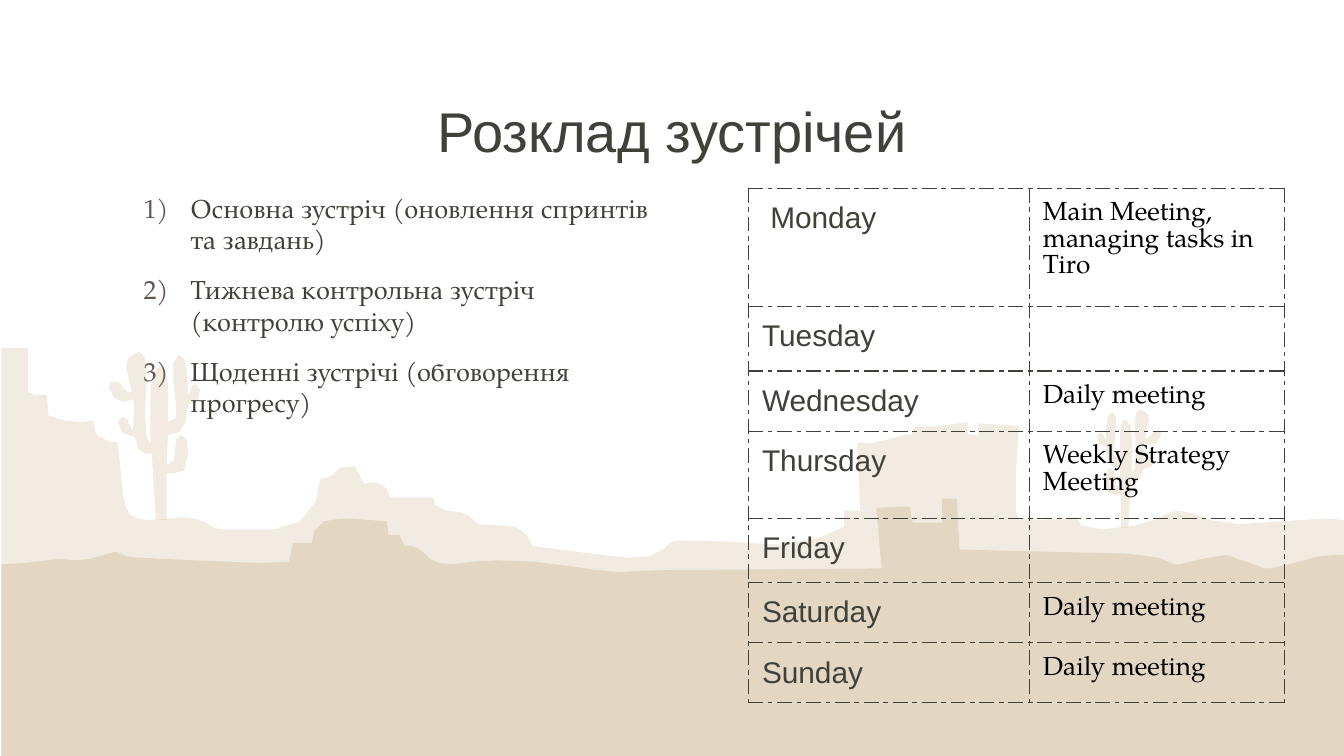
from lxml import etree
from pptx import Presentation
from pptx.dml.color import RGBColor
from pptx.enum.text import MSO_ANCHOR, PP_ALIGN
from pptx.oxml.ns import qn
from pptx.util import Inches, Pt

CENTER, LEFT = PP_ALIGN.CENTER, PP_ALIGN.LEFT
TOP = MSO_ANCHOR.TOP
INK = RGBColor(0x40, 0x41, 0x3A)
BLACK = RGBColor(0, 0, 0)
SAND = RGBColor(0xBE, 0x9D, 0x6D)
DUNE = RGBColor(0xCB, 0xB3, 0x8E)
NUMBER_COLOR = "635652"
SANS, SERIF = "Arial", "TeX Gyre Pagella"

# Content
TITLE = "Розклад зустрічей"
MEETINGS = [
    "Основна зустріч (оновлення спринтів та завдань)",
    "Тижнева контрольна зустріч (контролю успіху)",
    "Щоденні зустрічі (обговорення прогресу)",
]
SCHEDULE = [  # day, meeting, row height
    (" Monday", "Main Meeting, managing tasks in Tiro", 0.8),
    ("Tuesday", "", 0.42),
    ("Wednesday", "Daily meeting", 0.42),
    ("Thursday", "Weekly Strategy Meeting", 0.59),
    ("Friday", "", 0.42),
    ("Saturday", "Daily meeting", 0.42),
    ("Sunday", "Daily meeting", 0.42),
]
COLUMN_WIDTHS = [2.09, 1.9]

# Desert outlines, in inches
FAR_HILLS = [
    (0.01, 2.59), (0.01, 7.57), (10, 7.57), (10, 3.87), (9.9, 3.86), (9.83, 3.86),
    (9.37, 3.89), (9.22, 3.9), (9, 3.87), (8.88, 3.82), (8.77, 3.8), (8.71, 3.81),
    (8.61, 3.86), (8.45, 3.91), (8.2, 3.94), (8.05, 3.91), (8, 3.85), (7.73, 3.87),
    (7.57, 3.85), (7.56, 3.81), (7.56, 3.5), (7.58, 3.17), (7.28, 3.15), (7.28, 3.24),
    (7.2, 3.23), (7.2, 3.14), (7, 3.17), (6.8, 3.18), (6.78, 3.24), (6.75, 3.23),
    (6.65, 3.26), (6.47, 3.3), (6.38, 3.29), (6.4, 3.8), (6.28, 3.8), (6.28, 3.92),
    (6.1, 4), (5.84, 4.05), (5.73, 4.05), (5.4, 4.03), (5.09, 4.02), (5, 4.03),
    (4.93, 4.09), (4.83, 4.14), (4.67, 4.15), (4.33, 4.11), (4.02, 4.07), (3.96, 4.06),
    (3.92, 3.98), (3.84, 3.92), (3.72, 3.91), (3.56, 3.9), (3.49, 3.84), (3.42, 3.81),
    (3.32, 3.8), (3.24, 3.76), (3.22, 3.7), (2.9, 3.7), (2.88, 3.64), (2.83, 3.6),
    (2.76, 3.59), (2.71, 3.6), (2.64, 3.47), (2.53, 3.48), (2.47, 3.54), (2.38, 3.57),
    (2.35, 3.73), (2.23, 3.88), (2.04, 3.94), (1.66, 3.94), (1.6, 3.93), (1.53, 3.89),
    (1.46, 3.86), (1.37, 3.85), (1.11, 3.87), (1.03, 3.86), (0.97, 3.83), (0.94, 3.78),
    (0.92, 3.71), (0.88, 3.33), (0.87, 3.29), (0.82, 3.29), (0.72, 3.24), (0.69, 3.13),
    (0.6, 3.14), (0.48, 3.13), (0.36, 3.09), (0.35, 2.94), (0.27, 2.94), (0.21, 2.92),
    (0.21, 2.59),
]
NEAR_GROUND = [
    (7.01, 3.71), (7.01, 3.89), (6.79, 3.89), (6.77, 3.77), (6.71, 3.77), (6.52, 3.78),
    (6.56, 4.23), (5.34, 4.24), (5.03, 4.24), (4.72, 4.25), (4.62, 4.26), (4.42, 4.24),
    (4.22, 4.21), (3.96, 4.18), (3.7, 4.17), (3.52, 4.18), (3.36, 4.2), (3.27, 4.19),
    (3.2, 4.16), (3.16, 4.12), (3.11, 4.08), (3.05, 4.06), (3.01, 4.06), (2.97, 3.98),
    (2.89, 3.98), (2.88, 3.88), (2.61, 3.86), (2.53, 3.86), (2.41, 3.88), (2.34, 3.95),
    (2.32, 4.04), (2.18, 4.04), (2.15, 4.18), (1.94, 4.19), (1.45, 4.17), (1.02, 4.15),
    (0.94, 4.14), (0.88, 4.11), (0.84, 4.11), (0.67, 4.16), (0.57, 4.17), (0.44, 4.16),
    (0.18, 4.19), (0.01, 4.2), (0.01, 7.57), (10, 7.57), (10, 4.13), (9.93, 4.13),
    (9.81, 4.14), (9.63, 4.19), (9.45, 4.23), (9.41, 4.23), (9.27, 4.18), (9.12, 4.13),
    (8.94, 4.16), (8.78, 4.2), (8.74, 4.2), (8.62, 4.15), (8.39, 4.12), (7.14, 4.09),
    (7.12, 3.71),
]
CACTUS = [
    (1.04, 2.62), (1, 2.63), (0.95, 2.67), (0.94, 2.74), (0.98, 2.91), (0.96, 2.92),
    (0.92, 2.89), (0.89, 2.85), (0.85, 2.84), (0.82, 2.85), (0.81, 2.89), (0.86, 2.97),
    (0.93, 2.99), (0.99, 2.97), (1, 3), (0.99, 3.2), (0.96, 3.16), (0.95, 3.12),
    (0.91, 3.1), (0.88, 3.14), (0.91, 3.22), (1, 3.25), (1.03, 3.34), (1.07, 3.37),
    (1.13, 3.38), (1.16, 3.87), (1.24, 3.87), (1.24, 3.52), (1.3, 3.52), (1.37, 3.5),
    (1.4, 3.37), (1.39, 3.27), (1.35, 3.24), (1.31, 3.27), (1.3, 3.37), (1.29, 3.43),
    (1.24, 3.46), (1.25, 3.24), (1.34, 3.21), (1.38, 3.14), (1.4, 3.01), (1.47, 2.98),
    (1.49, 2.9), (1.46, 2.86), (1.43, 2.87), (1.41, 2.92), (1.4, 2.94), (1.39, 2.75),
    (1.37, 2.67), (1.33, 2.64), (1.29, 2.7), (1.29, 2.83), (1.31, 3.01), (1.31, 3.11),
    (1.25, 3.14), (1.25, 2.86), (1.23, 2.75), (1.19, 2.72), (1.13, 2.8), (1.12, 2.95),
    (1.12, 3.3), (1.09, 3.25), (1.08, 3.07), (1.09, 2.77), (1.08, 2.66),
]
# The right cactus is the left one, mirrored and smaller
SMALL = 0.7
SMALL_CACTUS = [(8.64 - (x - 0.81) * SMALL, 3.05 + (y - 2.62) * SMALL)
                for x, y in CACTUS]


def draw_outline(points, color, opacity):
    corners = [(Inches(x), Inches(y)) for x, y in points]
    builder = slide.shapes.build_freeform(*corners[0])
    builder.add_line_segments(corners[1:], close=True)
    outline = builder.convert_to_shape()
    outline.shadow.inherit = False
    outline.line.fill.background()
    outline.fill.solid()
    outline.fill.fore_color.rgb = color
    tint = outline.fill._xPr.find(".//" + qn("a:srgbClr"))
    etree.SubElement(tint, qn("a:alpha")).set("val", str(opacity * 1000))


def write(paragraph, text, font, size, color=INK, align=LEFT):
    paragraph.alignment = align
    run = paragraph.add_run()
    run.text = text
    run.font.name, run.font.size = font, Pt(size)
    run.font.color.rgb = color


def set_insets(box, bottom=0.1):
    box.margin_left = box.margin_right = box.margin_top = Inches(0.1)
    box.margin_bottom = Inches(bottom)
    box.vertical_anchor = TOP


def number_paragraph(paragraph):
    props = paragraph._p.get_or_add_pPr()
    props.set("marL", str(Inches(0.5)))
    props.set("indent", str(Inches(-0.35)))
    color = etree.SubElement(props, qn("a:buClr"))
    etree.SubElement(color, qn("a:srgbClr")).set("val", NUMBER_COLOR)
    etree.SubElement(props, qn("a:buFont")).set("typeface", SERIF)
    etree.SubElement(props, qn("a:buAutoNum")).set("type", "arabicParenR")


def border_cell(cell):
    props = cell._tc.get_or_add_tcPr()
    for position, side in enumerate(("lnL", "lnR", "lnT", "lnB")):
        line = etree.Element(qn("a:" + side), w=str(Pt(0.75)))
        fill = etree.SubElement(line, qn("a:solidFill"))
        etree.SubElement(fill, qn("a:srgbClr")).set("val", str(INK))
        etree.SubElement(line, qn("a:prstDash")).set("val", "lgDashDot")
        props.insert(position, line)


prs = Presentation()
prs.slide_width = Inches(10)
prs.slide_height = Inches(10 * 9 / 16)
slide = prs.slides.add_slide(prs.slide_layouts[5])

# Desert background
draw_outline(FAR_HILLS, SAND, 20)
draw_outline(NEAR_GROUND, DUNE, 36)
draw_outline(CACTUS, SAND, 20)
draw_outline(SMALL_CACTUS, SAND, 20)

# Title
title = slide.shapes.title
title.left, title.top = Inches(0.81), Inches(0.62)
title.width, title.height = Inches(8.38), Inches(0.62)
set_insets(title.text_frame)
write(title.text_frame.paragraphs[0], TITLE, SANS, 30, align=CENTER)

# Numbered meetings
meeting_list = slide.shapes.add_textbox(
    Inches(0.82), Inches(1.33), Inches(4.21), Inches(3.67)).text_frame
meeting_list.word_wrap = True
set_insets(meeting_list)
for index, meeting in enumerate(MEETINGS):
    item = meeting_list.add_paragraph() if index else meeting_list.paragraphs[0]
    number_paragraph(item)
    write(item, meeting, SERIF, 14)
    if index:
        item.space_before = Pt(10)

# Weekly schedule
schedule = slide.shapes.add_table(
    len(SCHEDULE), len(COLUMN_WIDTHS), Inches(5.57), Inches(1.4),
    Inches(sum(COLUMN_WIDTHS)), Inches(sum(row[2] for row in SCHEDULE))).table
schedule.first_row = schedule.horz_banding = False
for column, width in zip(schedule.columns, COLUMN_WIDTHS):
    column.width = Inches(width)
for row, (day, meeting, height) in zip(schedule.rows, SCHEDULE):
    row.height = Inches(height)
    day_cell, meeting_cell = row.cells
    for cell in (day_cell, meeting_cell):
        set_insets(cell, bottom=0.08)
        cell.fill.background()
        border_cell(cell)
    write(day_cell.text_frame.paragraphs[0], day, SANS, 16)
    entry = meeting_cell.text_frame.paragraphs[0]
    if meeting:
        write(entry, meeting, SERIF, 14, color=BLACK)
    else:
        blank = entry._p.get_or_add_endParaRPr()
        blank.set("sz", "1800")
        etree.SubElement(blank, qn("a:latin")).set("typeface", SANS)

prs.save("out.pptx")
